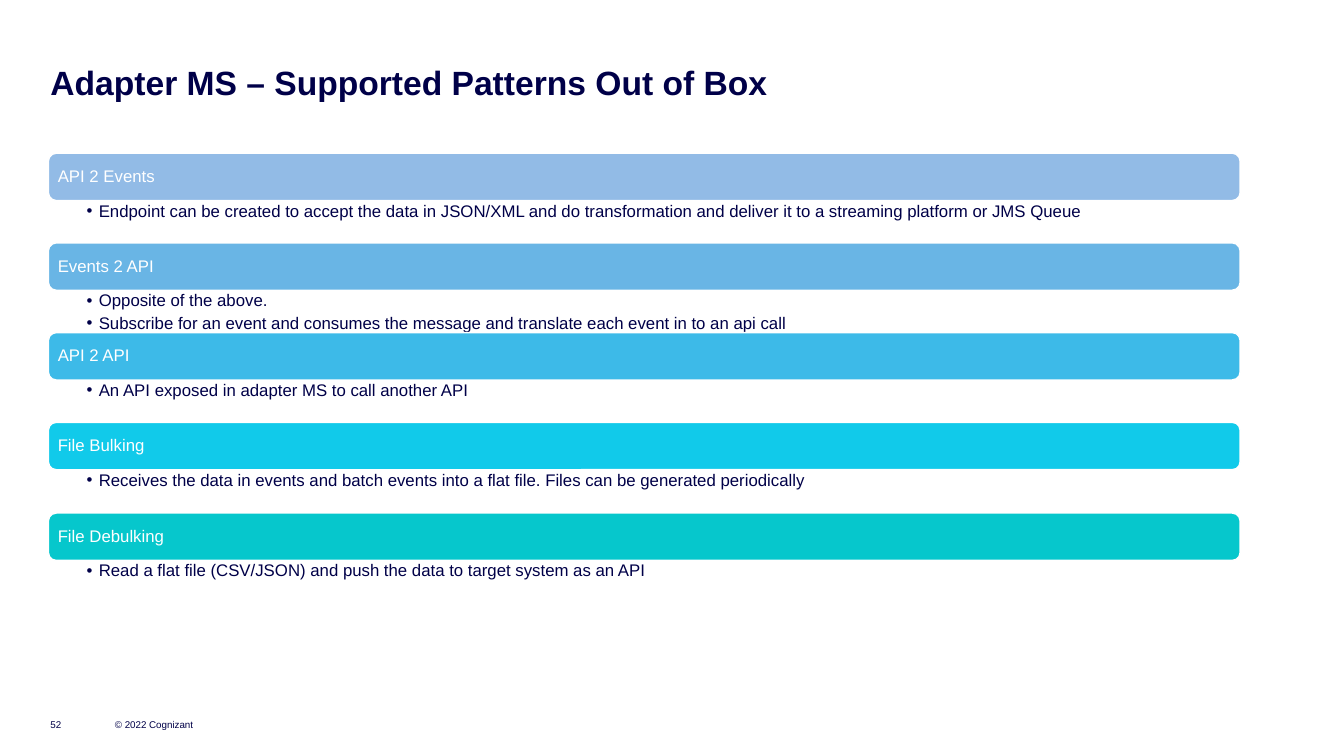
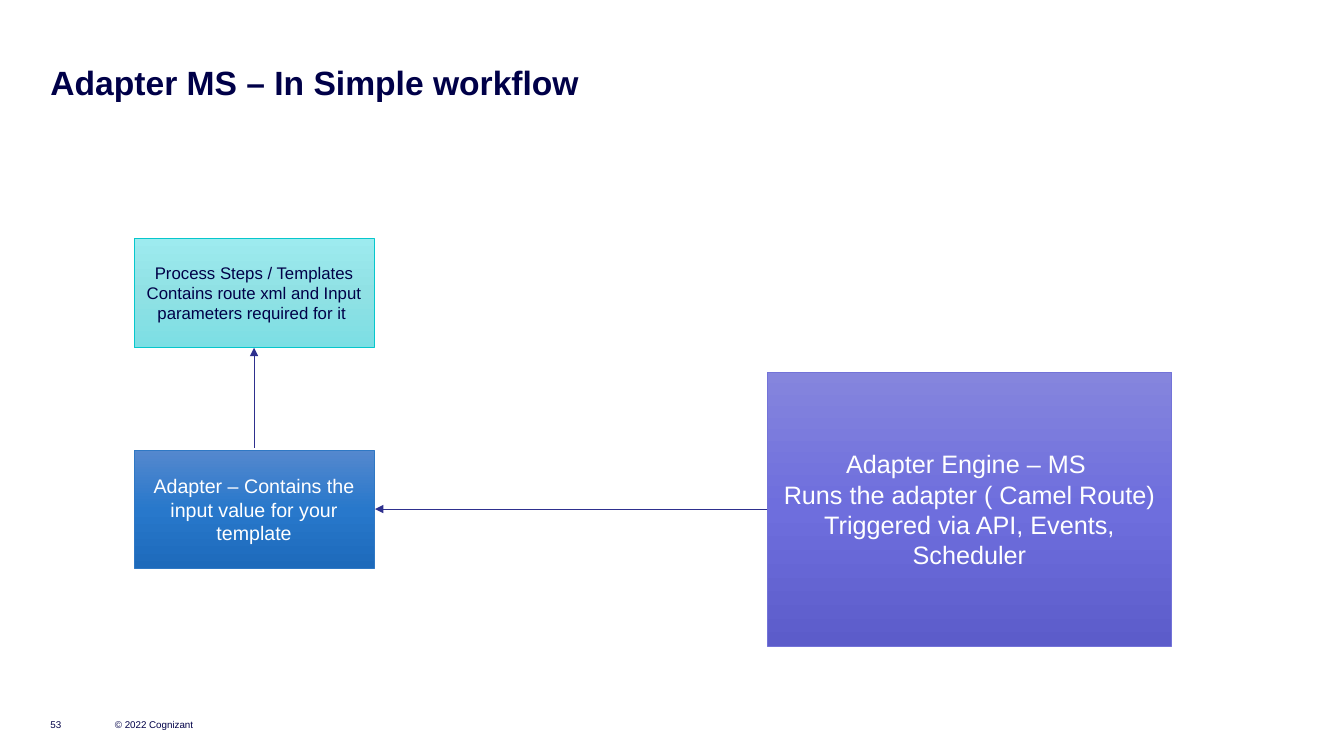
"""Builds two slides on the adapter service: its patterns and its workflow."""
from copy import deepcopy
from dataclasses import dataclass
from typing import Any

from lxml.etree import SubElement
from pptx import Presentation
from pptx.dml.color import RGBColor
from pptx.enum.shapes import MSO_CONNECTOR, MSO_SHAPE
from pptx.enum.text import MSO_ANCHOR as Anchor, PP_ALIGN as Align
from pptx.oxml.ns import qn
from pptx.util import Emu, Pt

EMU_PER_PX = 9144
FONT = "Arial"
NAVY = RGBColor(0x00, 0x00, 0x48)
INDIGO = RGBColor(0x2E, 0x30, 0x8E)
WHITE = RGBColor(0xFF, 0xFF, 0xFF)
TEAL = RGBColor(0x06, 0xC7, 0xCC)
COPYRIGHT = "© 2022 Cognizant"

BAR_LEFT, BAR_TOP, BAR_WIDTH, BAR_HEIGHT = 48, 152, 1182, 47
BODY_HEIGHT = 42
LAST_BAR_OFFSET = 357
BULLET_INDENT = 12


@dataclass(frozen=True)
class Box:
    left: int
    top: int
    width: int
    height: int

    def emu(self) -> tuple[Emu, ...]:
        return tuple(px(side) for side in (self.left, self.top, self.width, self.height))


@dataclass(frozen=True)
class TextStyle:
    size: int
    color: RGBColor
    bold: bool = False
    align: Align = Align.LEFT
    anchor: Anchor = Anchor.TOP
    insets: tuple[int, int, int, int] = (0, 0, 0, 0)
    line_spacing: float = 1.0
    space_after: int = 0
    bullet: str = ""


@dataclass(frozen=True)
class Pattern:
    name: str
    color: RGBColor
    points: tuple[str, ...]


@dataclass(frozen=True)
class Step:
    box: Box
    size: int
    text_color: RGBColor
    line_color: RGBColor
    gradient: tuple[RGBColor, RGBColor, RGBColor]
    lines: tuple[str, ...]


@dataclass(frozen=True)
class Arrow:
    start: tuple[int, int]
    end: tuple[int, int]


TITLE_BOX = Box(50, 61, 1182, 34)
NUMBER_BOX = Box(50, 704, 39, 21)
COPYRIGHT_BOX = Box(114, 704, 131, 21)

TITLE = TextStyle(24, NAVY, bold=True)
FOOTER = TextStyle(7, NAVY, anchor=Anchor.BOTTOM)
BAR = TextStyle(12, WHITE, anchor=Anchor.MIDDLE, insets=(7, 5, 7, 5), line_spacing=0.9)
BODY = TextStyle(12, NAVY, insets=(38, 2, 9, 2), line_spacing=0.9, space_after=3, bullet="•")

PATTERNS = (
    Pattern("API 2 Events", RGBColor(0x92, 0xBB, 0xE6), (
        "Endpoint can be created to accept the data in JSON/XML and do transformation "
        "and deliver it to a streaming platform or JMS Queue",)),
    Pattern("Events 2 API", RGBColor(0x69, 0xB5, 0xE5), (
        "Opposite of the above.",
        "Subscribe for an event and consumes the message and translate each event "
        "in to an api call")),
    Pattern("API 2 API", RGBColor(0x3D, 0xBA, 0xE8), (
        "An API exposed in adapter MS to call another API",)),
    Pattern("File Bulking", RGBColor(0x11, 0xCA, 0xEA), (
        "Receives the data in events and batch events into a flat file. "
        "Files can be generated periodically",)),
    Pattern("File Debulking", TEAL, (
        "Read a flat file (CSV/JSON) and push the data to target system as an API",)),
)

STEPS = (
    Step(Box(133, 236, 238, 109), 12, NAVY, TEAL,
         (RGBColor(0x9D, 0xEB, 0xEF), RGBColor(0x90, 0xE1, 0xE4), RGBColor(0x7C, 0xDF, 0xE4)),
         ("Process Steps / Templates",
          "Contains route xml and Input parameters required for it ")),
    Step(Box(133, 447, 238, 117), 14, WHITE, RGBColor(0x2F, 0x78, 0xC4),
         (RGBColor(0x54, 0x88, 0xCE), RGBColor(0x28, 0x78, 0xCB), RGBColor(0x1D, 0x6A, 0xBB)),
         ("Adapter – Contains the input value for your template",)),
    Step(Box(761, 369, 401, 272), 18, WHITE, RGBColor(0x73, 0x73, 0xD8),
         (RGBColor(0x85, 0x85, 0xDD), RGBColor(0x6E, 0x6E, 0xDD), RGBColor(0x5C, 0x5C, 0xCA)),
         ("Adapter Engine – MS ",
          "Runs the adapter ( Camel Route)",
          "Triggered via API, Events, Scheduler")),
)

ARROWS = (Arrow((252, 444), (252, 345)), Arrow((761, 505), (372, 505)))


def px(length: int) -> Emu:
    return Emu(length * EMU_PER_PX)


def apply(target: Any, values: dict[str, Any]) -> None:
    for name, value in values.items():
        setattr(target, name, value)


def add_bullet(para: Any, bullet: str) -> None:
    properties = para._p.get_or_add_pPr()
    properties.set("marL", str(px(BULLET_INDENT)))
    properties.set("indent", str(-px(BULLET_INDENT)))
    SubElement(properties, qn("a:buFont")).set("typeface", FONT)
    SubElement(properties, qn("a:buChar")).set("char", bullet)


def write(shape: Any, lines: tuple[str, ...], style: TextStyle) -> None:
    frame = shape.text_frame
    left, top, right, bottom = (px(inset) for inset in style.insets)
    apply(frame, {"word_wrap": True, "vertical_anchor": style.anchor,
                  "margin_left": left, "margin_top": top,
                  "margin_right": right, "margin_bottom": bottom})
    for index, line in enumerate(lines):
        para = frame.add_paragraph() if index else frame.paragraphs[0]
        if style.bullet:
            add_bullet(para, style.bullet)
        apply(para, {"alignment": style.align, "line_spacing": style.line_spacing,
                     "space_after": Pt(style.space_after)})
        span = para.add_run()
        span.text = line
        apply(span.font, {"name": FONT, "size": Pt(style.size), "bold": style.bold})
        span.font.color.rgb = style.color


def add_text(page: Any, box: Box, lines: tuple[str, ...], style: TextStyle) -> None:
    write(page.shapes.add_textbox(*box.emu()), lines, style)


def add_outlined(page: Any, kind: MSO_SHAPE, box: Box, color: RGBColor, points: float) -> Any:
    shape = page.shapes.add_shape(kind, *box.emu())
    shape.shadow.inherit = False
    shape.line.color.rgb = color
    shape.line.width = Pt(points)
    return shape


def add_page(deck: Any, title: str, number: int) -> Any:
    page = deck.slides.add_slide(deck.slide_layouts[6])
    add_text(page, TITLE_BOX, (title,), TITLE)
    add_text(page, COPYRIGHT_BOX, (COPYRIGHT,), FOOTER)
    add_text(page, NUMBER_BOX, (str(number),), FOOTER)
    return page


def add_pattern(page: Any, pattern: Pattern, top: int) -> None:
    bar_box = Box(BAR_LEFT, top, BAR_WIDTH, BAR_HEIGHT)
    bar = add_outlined(page, MSO_SHAPE.ROUNDED_RECTANGLE, bar_box, WHITE, 1)
    bar.fill.solid()
    bar.fill.fore_color.rgb = pattern.color
    write(bar, (pattern.name,), BAR)
    add_text(page, Box(BAR_LEFT, top + BAR_HEIGHT, BAR_WIDTH, BODY_HEIGHT), pattern.points, BODY)


def add_step(page: Any, step: Step) -> None:
    shape = add_outlined(page, MSO_SHAPE.RECTANGLE, step.box, step.line_color, 0.5)
    shape.fill.gradient()
    shape.fill.gradient_angle = 270
    stop_list = shape._element.spPr.find(qn("a:gradFill")).find(qn("a:gsLst"))
    stop_list.append(deepcopy(stop_list[0]))
    for index, (stop, color) in enumerate(zip(shape.fill.gradient_stops, step.gradient)):
        stop.position = index / 2
        stop.color.rgb = color
    style = TextStyle(step.size, step.text_color, align=Align.CENTER,
                      anchor=Anchor.MIDDLE, insets=(10, 5, 10, 5))
    write(shape, step.lines, style)


def add_arrow(page: Any, arrow: Arrow) -> None:
    ends = (px(value) for value in arrow.start + arrow.end)
    connector = page.shapes.add_connector(MSO_CONNECTOR.STRAIGHT, *ends)
    connector.line.color.rgb = INDIGO
    connector.line.width = Pt(0.5)
    properties = connector._element.spPr
    SubElement(properties.find(qn("a:ln")), qn("a:tailEnd")).set("type", "triangle")
    SubElement(properties, qn("a:effectLst"))


def main() -> None:
    deck = Presentation()
    apply(deck, {"slide_width": px(1333), "slide_height": px(750)})

    page = add_page(deck, "Adapter MS – Supported Patterns Out of Box", 52)
    for index, pattern in enumerate(PATTERNS):
        add_pattern(page, pattern, BAR_TOP + index * LAST_BAR_OFFSET // (len(PATTERNS) - 1))

    page = add_page(deck, "Adapter MS – In Simple workflow", 53)
    for step in STEPS:
        add_step(page, step)
    for arrow in ARROWS:
        add_arrow(page, arrow)

    deck.save("out.pptx")


if __name__ == "__main__":
    main()
